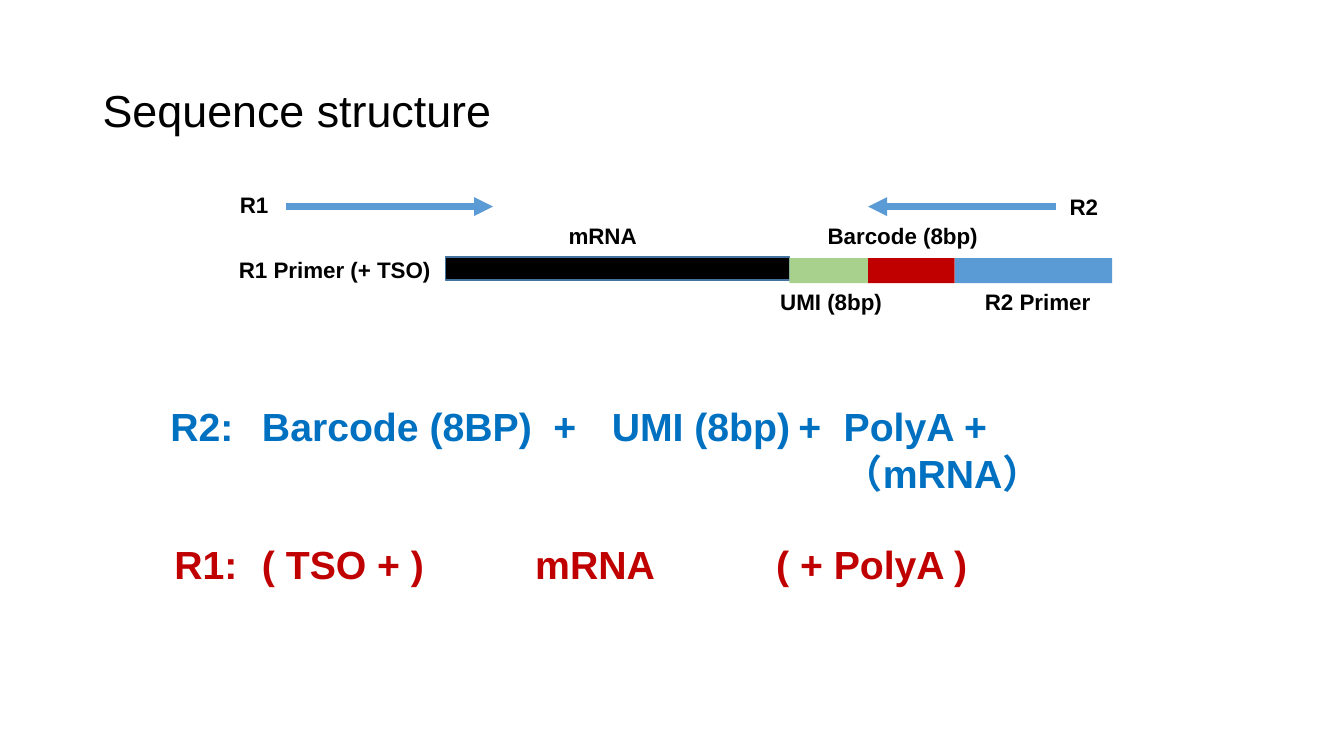
from lxml import etree
from pptx import Presentation
from pptx import util as u
from pptx.dml.color import RGBColor
from pptx.enum import shapes, text
from pptx.oxml.ns import qn

THEME = {
    "font": "Arial",
    "title": 32, "label": 16, "formula": 28,
    "black": "000000", "blue": "5B9BD5", "red": "C00000",
    "green": "A9D18E", "outline": "43739E", "read2": "0070C0",
}
WIDTH, HEIGHT = 13.33, 7.5

# Content
TITLE = "Sequence structure"

# Sequence bar from left to right: colour, length, top, height, outline
BAR_LEFT = 4.42
SEGMENTS = [
    ("black", 3.41, 2.55, 0.23, "outline"),
    ("green", 0.78, 2.56, 0.25, None),
    ("red", 0.86, 2.56, 0.25, None),
    ("blue", 1.56, 2.56, 0.25, None),
]

# Reads: start and end of each arrow
READ_Y = 2.05
READS = [(2.84, 4.89), (10.47, 8.61)]

# Bar labels by row: text, left, width
LABEL_HEIGHT = 0.37
LABEL_ROWS = {
    1.85: [("R1", 2.28, 0.67)],
    1.87: [("R2", 10.51, 0.55)],
    2.15: [("mRNA", 5.54, 0.92), ("Barcode (8bp)", 8.11, 1.75)],
    2.49: [("R1 Primer (+ TSO)", 2.27, 2.62)],
    2.81: [("UMI (8bp)", 7.64, 1.23), ("R2 Primer", 9.67, 1.37)],
}

# Formula of each read: top, colour, then text, left, width
FORMULA_HEIGHT = 0.57
FORMULAS = [
    (3.94, "read2", [
        ("R2:", 1.59, 0.95), ("Barcode (8BP)", 2.5, 2.89), ("+", 5.39, 0.46),
        ("UMI (8bp)", 5.97, 2.03), ("+", 7.82, 0.46),
        ("PolyA + （mRNA）", 8.27, 3.46),
    ]),
    (5.31, "red", [
        ("R1:", 1.63, 0.95), ("( TSO + )", 2.5, 2.89),
        ("mRNA", 5.21, 1.58), ("( + PolyA )", 7.6, 2.14),
    ]),
]


def color(key):
    return RGBColor.from_string(THEME[key])


def inches(*lengths):
    return [u.Inches(length) for length in lengths]


def add_text(words, left, top, width, height, size, ink="black", bold=True):
    frame = slide.shapes.add_textbox(*inches(left, top, width, height)).text_frame
    frame.word_wrap = True
    paragraph = frame.paragraphs[0]
    paragraph.text = words
    paragraph.font.name = THEME["font"]
    paragraph.font.size = u.Pt(THEME[size])
    paragraph.font.bold = bold
    paragraph.font.color.rgb = color(ink)
    return frame


def add_segment(left, top, width, height, fill, outline):
    segment = slide.shapes.add_shape(
        shapes.MSO_SHAPE.RECTANGLE, *inches(left, top, width, height))
    segment.shadow.inherit = False
    segment.fill.solid()
    segment.fill.fore_color.rgb = color(fill)
    if outline:
        segment.line.color.rgb = color(outline)
        segment.line.width = u.Pt(1)
    else:
        segment.line.fill.background()


def add_read(start, end):
    arrow = slide.shapes.add_connector(
        shapes.MSO_CONNECTOR.STRAIGHT, *inches(start, READ_Y, end, READ_Y))
    arrow.line.color.rgb = color("blue")
    arrow.line.width = u.Pt(4.5)
    etree.SubElement(arrow.line._get_or_add_ln(), qn("a:tailEnd"), type="triangle")
    etree.SubElement(arrow._element.spPr, qn("a:effectLst"))


prs = Presentation()
prs.slide_width, prs.slide_height = inches(WIDTH, HEIGHT)
slide = prs.slides.add_slide(prs.slide_layouts[6])

# Title
heading = add_text(TITLE, 0.92, 0.4, 11.5, 1.45, "title", bold=False)
heading.vertical_anchor = text.MSO_ANCHOR.MIDDLE
heading.paragraphs[0].line_spacing = 0.9

# Sequence bar
segment_left = BAR_LEFT
for fill, length, top, height, outline in SEGMENTS:
    add_segment(segment_left, top, length, height, fill, outline)
    segment_left += length

# Read arrows
for start, end in READS:
    add_read(start, end)

# Bar labels
for top, labels in LABEL_ROWS.items():
    for words, left, width in labels:
        add_text(words, left, top, width, LABEL_HEIGHT, "label")

# Read formulas
for top, ink, terms in FORMULAS:
    for words, left, width in terms:
        add_text(words, left, top, width, FORMULA_HEIGHT, "formula", ink)

prs.save("out.pptx")
